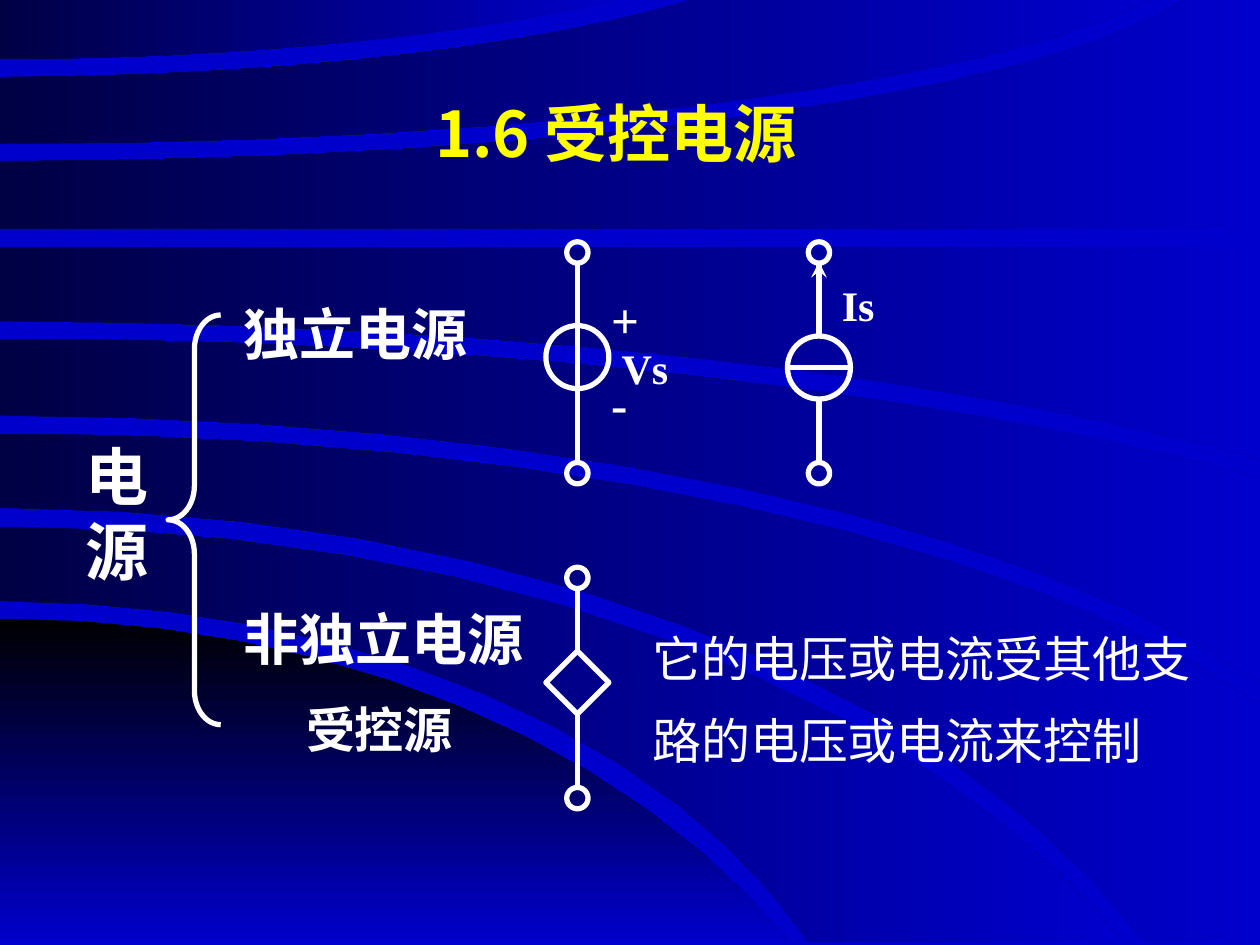
from math import asin, cos, sin

from lxml import etree
from pptx import Presentation
from pptx.dml.color import RGBColor
from pptx.enum.shapes import MSO_CONNECTOR, MSO_SHAPE
from pptx.enum.text import MSO_ANCHOR, PP_ALIGN
from pptx.oxml.ns import qn
from pptx.util import Cm, Pt

STRAIGHT = MSO_CONNECTOR.STRAIGHT
ELLIPSE, DIAMOND, BRACE = MSO_SHAPE.OVAL, MSO_SHAPE.DIAMOND, MSO_SHAPE.LEFT_BRACE
MIDDLE, CENTER = MSO_ANCHOR.MIDDLE, PP_ALIGN.CENTER

COLORS = {"blue": "0000CC", "navy": "000044", "black": "000000",
          "white": "FFFFFF", "yellow": "FFFF00"}
LATIN, CJK = "Times New Roman", "Noto Sans CJK SC"
LINE_WIDTH = Pt(3)
SYMBOL_SIZE, TERMINAL_SIZE = 1.27, 0.43
WIDTH, HEIGHT, TOP, BOTTOM = 25.4, 19.05, -0.05, 19
ARC_STEPS = 12

FLOOR = ((12.47, 15.95, HEIGHT, 18.3), (HEIGHT, 15.95, HEIGHT, 18.3))
BANDS = [
    ((10.62, 22.68, BOTTOM, 25.2), (12.12, 16.31, BOTTOM, 17.7)),
    ((8.74, WIDTH, 14.22, 28.2), (10.24, 23.09, BOTTOM, 25.1)),
    ((6.83, WIDTH, 9.63, 35), (8.38, WIDTH, 13.77, 28.4)),
    ((4.98, WIDTH, 4.98, 35), (6.48, WIDTH, 9.25, 33.5)),
    ((3.25, 23.95, TOP, 24.7), (4.62, WIDTH, 4.62, 35)),
    ((1.55, 14.12, TOP, 17.5), (2.9, 23.29, TOP, 24.5)),
    ((TOP, 12.73, TOP, 19), (1.19, 12.73, TOP, 19)),
]

LABELS = [
    ("电源", (1.47, 8.69, 2.11, 3.3), 36),
    ("独立电源", (4.65, 5.92, 5.92, 1.6), 32),
    ("非独立电源", (4.65, 12.07, 6.55, 1.6), 32),
    ("受控源", (5.92, 13.97, 4.01, 1.45), 28),
]


def color(name):
    """Return the named colour."""
    return RGBColor.from_string(COLORS[name])


def set_attributes(target, values):
    """Set each attribute in a dict of format values."""
    for name, value in values.items():
        setattr(target, name, value)


def place(shape, box):
    """Move a shape to left, top, width and height in centimetres."""
    set_attributes(shape, dict(zip(("left", "top", "width", "height"), map(Cm, box))))


def format_run(run, font_name, color_name, values):
    """Give a run its fonts, colour and format values."""
    set_attributes(run.font, {"name": font_name, **values})
    run.font.color.rgb = color(color_name)
    east_asian = etree.SubElement(run.font._element, qn("a:ea"))
    east_asian.set("typeface", CJK)


def add_label(shapes, lines, box, size, bold=True, line_spacing=1.0):
    """Add a white text box with one paragraph for each line."""
    frame = shapes.add_textbox(*map(Cm, box)).text_frame
    frame.word_wrap = True
    for index, line in enumerate(lines):
        paragraph = frame.add_paragraph() if index else frame.paragraphs[0]
        paragraph.line_spacing = line_spacing
        if index:
            paragraph.space_before = Pt(size / 2)
        run = paragraph.add_run()
        run.text = line
        format_run(run, LATIN, "white", {"size": Pt(size), "bold": bold})


def add_outline(shapes, kind, box):
    """Add an unfilled white outline shape."""
    shape = shapes.add_shape(kind, *map(Cm, box))
    shape.shadow.inherit = False
    shape.fill.background()
    shape.line.width = LINE_WIDTH
    shape.line.color.rgb = color("white")
    return shape


def add_symbol(shapes, kind, center, size):
    """Add an outline shape around a centre point."""
    x, y = center
    add_outline(shapes, kind, (x - size / 2, y - size / 2, size, size))


def add_wire(shapes, start, end, arrow=False):
    """Add a white line, with an arrowhead at its end if asked."""
    wire = shapes.add_connector(STRAIGHT, *map(Cm, start + end))
    wire.line.width = LINE_WIDTH
    wire.line.color.rgb = color("white")
    if arrow:
        etree.SubElement(wire.get_or_add_ln(), qn("a:tailEnd")).set("type", "stealth")
    etree.SubElement(wire.element.spPr, qn("a:effectLst"))


def add_source(slide, kind, center, terminals, wires):
    """Add a grouped source symbol with two terminals and its vertical wires."""
    shapes = slide.shapes.add_group_shape().shapes
    x = center[0]
    add_symbol(shapes, kind, center, SYMBOL_SIZE)
    for top, bottom in wires:
        add_wire(shapes, (x, top), (x, bottom))
    for y in terminals:
        add_symbol(shapes, ELLIPSE, (x, y), TERMINAL_SIZE)
    return shapes


def arc_points(start_y, end_x, end_y, radius):
    """Return points on an elliptical arc that leaves the left edge level."""
    end_angle = asin(end_x / radius)
    rise = (end_y - start_y) / (1 - cos(end_angle))
    angles = [end_angle * step / ARC_STEPS for step in range(ARC_STEPS + 1)]
    return [(radius * sin(angle), start_y + rise * (1 - cos(angle))) for angle in angles]


def add_band(slide, master, edges, stops, angle):
    """Draw a gradient band between two arcs and hand it to the slide master."""
    upper, lower = (arc_points(*edge) for edge in edges)
    ends = sorted([upper[-1], lower[-1]])
    corner = (ends[1][0], ends[0][1])
    corners = [(Cm(x), Cm(y)) for x, y in upper + [corner] + lower[::-1]]
    builder = slide.shapes.build_freeform(*corners[0])
    builder.add_line_segments(corners[1:], close=True)
    band = builder.convert_to_shape()
    band.shadow.inherit = False
    band.line.fill.background()
    band.fill.gradient()
    band.fill.gradient_angle = angle
    for position, (stop, name) in enumerate(zip(band.fill.gradient_stops, stops)):
        stop.color.rgb = color(name)
        stop.position = position
    band.element.nvSpPr.cNvPr.set("id", str(100 + len(master.shapes)))
    master.shapes.element.append(band.element)


def add_background(slide, master):
    """Fill the master with blue and its curved bands."""
    master.background.fill.solid()
    master.background.fill.fore_color.rgb = color("blue")
    add_band(slide, master, FLOOR, ("black", "blue"), 270)
    for edges in BANDS:
        add_band(slide, master, edges, ("navy", "blue"), 0)


def format_title(title, text):
    """Write and format the title placeholder."""
    place(title, (1.62, 1.07, 21.59, 3.18))
    title.text_frame.vertical_anchor = MIDDLE
    paragraph = title.text_frame.paragraphs[0]
    paragraph.alignment = CENTER
    run = paragraph.add_run()
    run.text = text
    format_run(run, CJK, "yellow", {"size": Pt(36), "bold": True})


def main():
    """Build the slide and save it."""
    presentation = Presentation()
    set_attributes(presentation, {"slide_width": Cm(WIDTH), "slide_height": Cm(HEIGHT)})
    slide = presentation.slides.add_slide(presentation.slide_layouts[5])
    add_background(slide, presentation.slide_master)
    format_title(slide.shapes.title, "1.6 受控电源")
    for text, box, size in LABELS:
        add_label(slide.shapes, [text], box, size)
    add_label(slide.shapes, ["它的电压或电流受其他支路的电压或电流来控制"],
              (12.9, 12.07, 11.43, 3.58), 28, bold=False, line_spacing=1.4)

    voltage = add_source(slide, ELLIPSE, (11.64, 7.2), (5.09, 9.54), [(5.28, 9.32)])
    add_label(voltage, ["+", "-"], (12.07, 5.72, 2.11, 3.23), 28)
    add_label(voltage, ["Vs"], (12.28, 6.78, 2.54, 1.27), 24)

    current = add_source(slide, ELLIPSE, (16.51, 7.41), (5.09, 9.54),
                         [(5.28, 6.78), (8.05, 9.32)])
    add_wire(current, (15.88, 7.41), (17.14, 7.41))
    add_wire(current, (16.51, 6.55), (16.51, 5.28), arrow=True)
    add_label(current, ["Is"], (16.72, 5.5, 1.48, 1.27), 24)

    add_source(slide, DIAMOND, (11.64, 13.76), (11.65, 16.09),
               [(11.86, 13.13), (14.4, 15.88)])
    brace = add_outline(slide.shapes, BRACE, (3.39, 6.35, 1.06, 8.26))
    brace.adjustments[0] = 0.65
    presentation.save("out.pptx")


if __name__ == "__main__":
    main()
